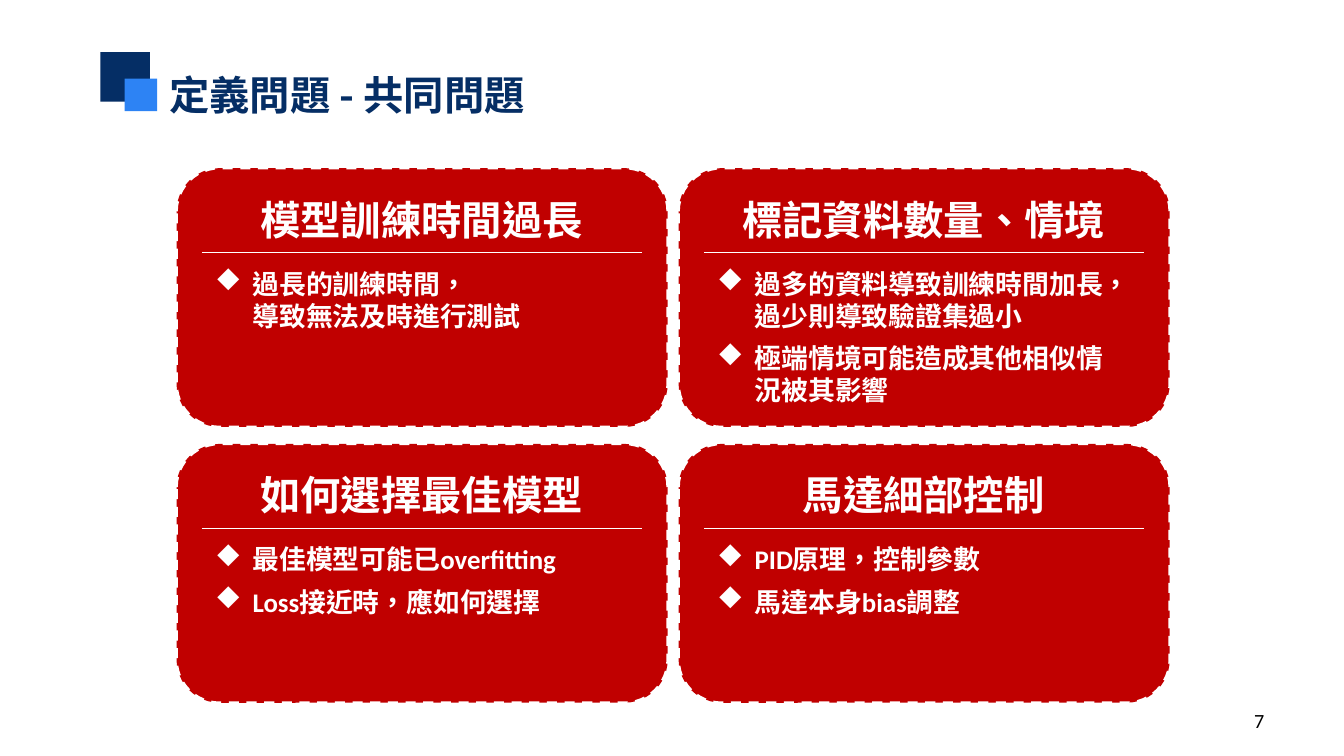
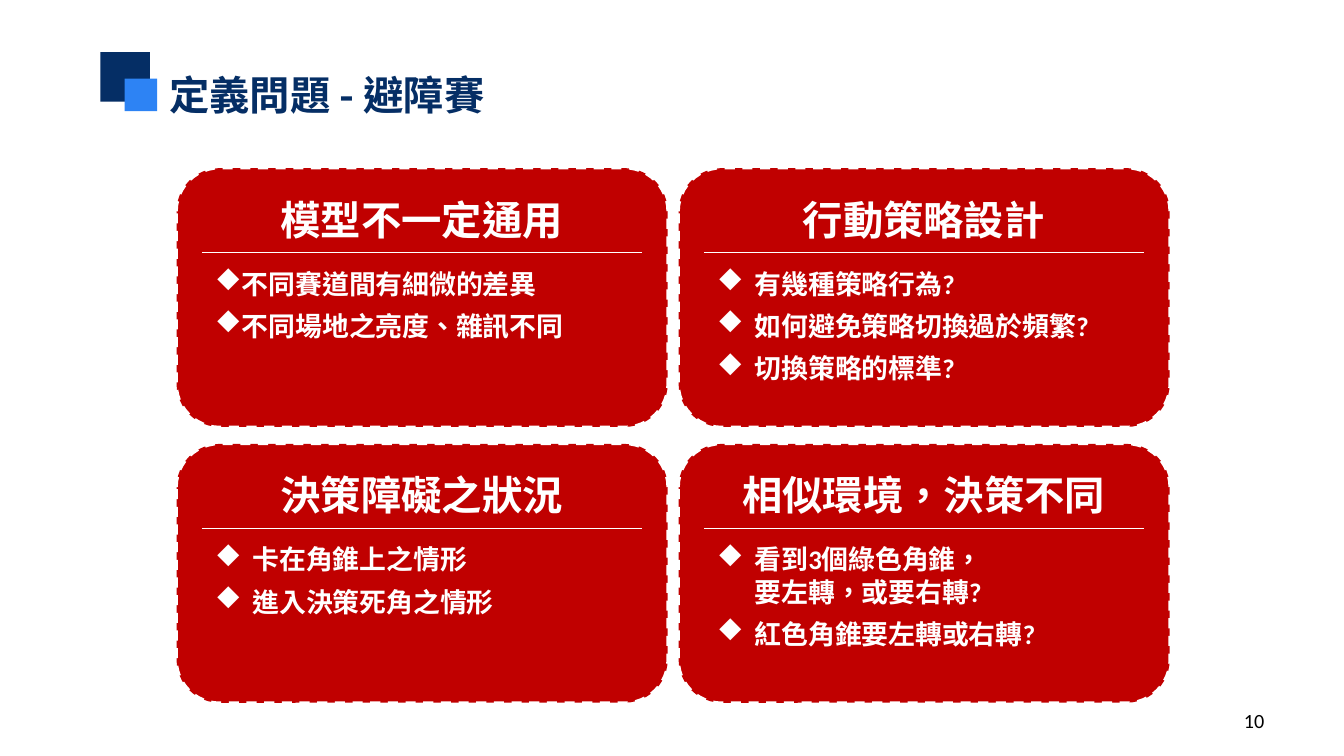
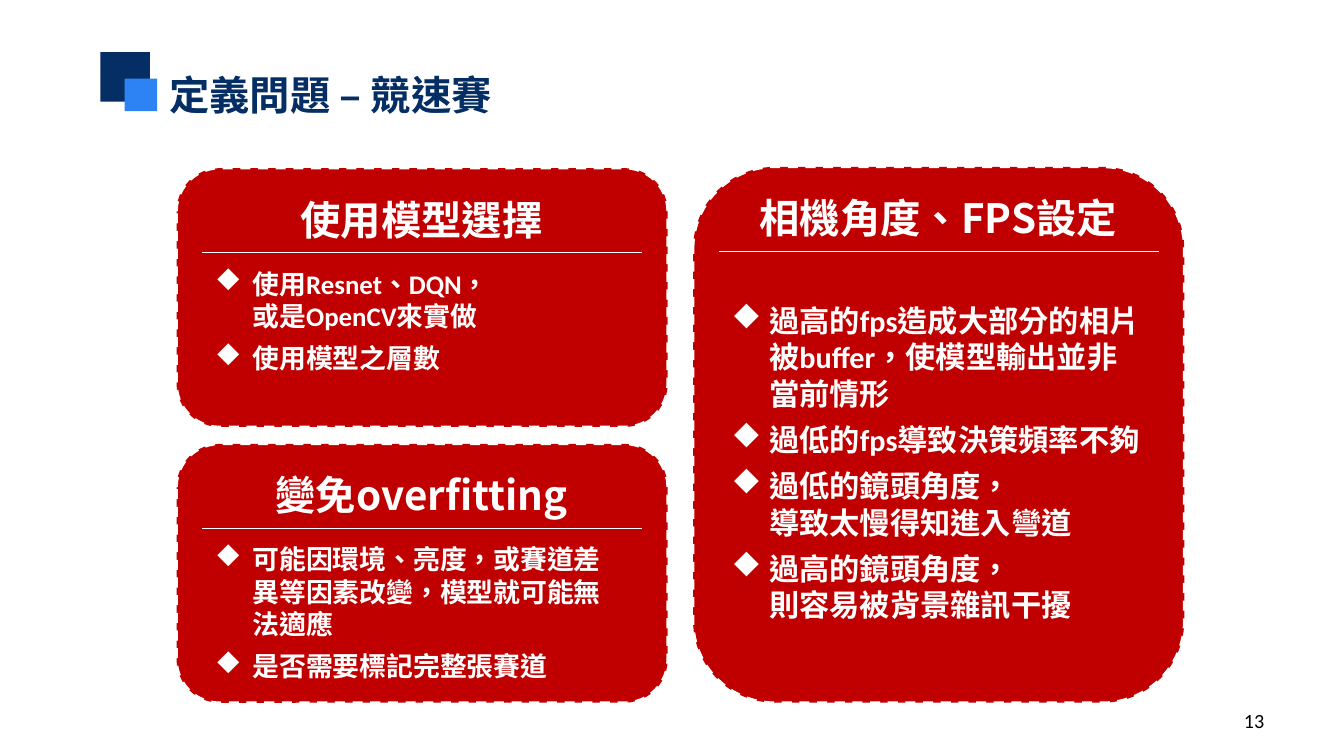
from dataclasses import dataclass

from lxml import etree
from pptx import Presentation
from pptx.dml.color import RGBColor
from pptx.enum.dml import MSO_LINE
from pptx.enum.lang import MSO_LANGUAGE_ID
from pptx.enum.shapes import MSO_CONNECTOR, MSO_SHAPE
from pptx.enum.text import MSO_ANCHOR, MSO_AUTO_SIZE, PP_ALIGN
from pptx.oxml.ns import qn
from pptx.util import Inches, Pt

RECT, ROUND_RECT = MSO_SHAPE.RECTANGLE, MSO_SHAPE.ROUNDED_RECTANGLE
STRAIGHT, DASH = MSO_CONNECTOR.STRAIGHT, MSO_LINE.DASH
LEFT, CENTER, RIGHT = PP_ALIGN.LEFT, PP_ALIGN.CENTER, PP_ALIGN.RIGHT
TOP, MIDDLE = MSO_ANCHOR.TOP, MSO_ANCHOR.MIDDLE
FIT_SHAPE, FIT_NONE = MSO_AUTO_SIZE.SHAPE_TO_FIT_TEXT, MSO_AUTO_SIZE.NONE
ZH_TW = MSO_LANGUAGE_ID.TRADITIONAL_CHINESE

NAVY, BLUE, RED, WHITE, BLACK = "052E65", "2D83F4", "C00000", "FFFFFF", "000000"
HEAD_FONT, BODY_FONT = "Noto Sans CJK SC", "Calibri"
GRID_X, GRID_Y, STEP_X, STEP_Y = 1.46, 1.39, 4.15, 2.28
CARD_W, CARD_H = 4.06, 2.14
HANG = 0.31


@dataclass
class Card:
    """A red card with a heading, a rule and bullets."""
    heading: str
    bullets: list[str]
    body_h: float = 0.72
    indent: float = HANG


@dataclass
class TallCard(Card):
    """A card that takes the full height of the right column."""
    body_h: float = 2.78


@dataclass
class Page:
    """A slide with its title, number and cards in reading order."""
    title: str
    number: int
    cards: list[Card]


PAGES = [
    Page("定義問題 - 共同問題", 7, [
        Card("模型訓練時間過長", ["過長的訓練時間，\n導致無法及時進行測試"], 0.64),
        Card("標記資料數量、情境", ["過多的資料導致訓練時間加長，過少則導致驗證集過小",
                           "極端情境可能造成其他相似情況被其影響"], 1.26),
        Card("如何選擇最佳模型", ["最佳模型可能已overfitting", "Loss接近時，應如何選擇"]),
        Card("馬達細部控制", ["PID原理，控制參數", "馬達本身bias調整"]),
    ]),
    Page("定義問題 - 避障賽", 10, [
        Card("模型不一定通用", ["不同賽道間有細微的差異", "不同場地之亮度、雜訊不同"], indent=0),
        Card("行動策略設計", ["有幾種策略行為?", "如何避免策略切換過於頻繁?", "切換策略的標準?"], 1.11),
        Card("決策障礙之狀況", ["卡在角錐上之情形", "進入決策死角之情形"]),
        Card("相似環境，決策不同", ["看到3個綠色角錐，\n要左轉，或要右轉?", "紅色角錐要左轉或右轉?"], 1.03),
    ]),
    Page("定義問題 – 競速賽", 13, [
        Card("使用模型選擇", ["使用Resnet、DQN，\n或是OpenCV來實做", "使用模型之層數"], 0.99),
        TallCard("相機角度、FPS設定", ["過高的fps造成大部分的相片被buffer，使模型輸出並非當前情形",
                               "過低的fps導致決策頻率不夠",
                               "過低的鏡頭角度，\n導致太慢得知進入彎道",
                               "過高的鏡頭角度，\n則容易被背景雜訊干擾"]),
        Card("變免overfitting", ["可能因環境、亮度，或賽道差異等因素改變，模型就可能無法適應",
                               "是否需要標記完整張賽道"], 1.26),
    ]),
]


def rgb(color: str) -> RGBColor:
    """Turn a hex string into a colour."""
    return RGBColor.from_string(color)


def add_box(shapes, kind, x: float, y: float, w: float, h: float, fill: str):
    """Add a filled shape without line or shadow."""
    sp = shapes.add_shape(kind, Inches(x), Inches(y), Inches(w), Inches(h))
    sp.shadow.inherit = False
    sp.fill.solid()
    sp.fill.fore_color.rgb = rgb(fill)
    sp.line.fill.background()
    return sp


def add_rule(shapes, x: float, y: float, w: float) -> None:
    """Add a thin white horizontal line."""
    line = shapes.add_connector(STRAIGHT, Inches(x), Inches(y), Inches(x + w), Inches(y))
    line.line.color.rgb = rgb(WHITE)
    line.line.width = Pt(0.75)
    etree.SubElement(line._element.spPr, qn("a:effectLst"))


def set_bullet(p, indent: float) -> None:
    """Give a paragraph a hanging diamond bullet."""
    p.space_before = Pt(6)
    pPr = p._p.get_or_add_pPr()
    pPr.set("marL", str(Inches(indent)))
    pPr.set("indent", str(-Inches(HANG)))
    etree.SubElement(pPr, qn("a:buFont"), typeface="Wingdings")
    etree.SubElement(pPr, qn("a:buChar"), char="u")


def add_text(shapes, x: float, y: float, w: float, h: float, paragraphs: list[str], *,
             size: int, color: str = WHITE, font: str = HEAD_FONT, bold: bool = True,
             align=LEFT, anchor=TOP, fit=FIT_SHAPE, indent: float | None = None) -> None:
    """Add a wrapped text box, with bullets when an indent is given."""
    sp = shapes.add_textbox(Inches(x), Inches(y), Inches(w), Inches(h))
    tf = sp.text_frame
    tf.word_wrap, tf.auto_size, tf.vertical_anchor = True, fit, anchor
    for i, text in enumerate(paragraphs):
        p = tf.add_paragraph() if i else tf.paragraphs[0]
        p.alignment = align
        if indent is not None:
            set_bullet(p, indent)
        for j, part in enumerate(text.split("\n")):
            if j:
                p.add_line_break()
            r = p.add_run()
            r.text = part
            r.font.name, r.font.size, r.font.bold = font, Pt(size), bold
            r.font.color.rgb = rgb(color)
            r.font.language_id = ZH_TW
            r.font._element.find(qn("a:latin")).addnext(
                etree.Element(qn("a:ea"), typeface=HEAD_FONT))


def add_card(s, card: Card, index: int) -> None:
    """Draw a card as a group in its cell of the grid."""
    row, col = divmod(index, 2)
    x, y, h = GRID_X + col * STEP_X, GRID_Y + row * STEP_Y, CARD_H
    body_y, body_size = 0.77, 16
    if isinstance(card, TallCard):
        x, y, h = 5.73, 1.38, 4.43
        body_y, body_size = 1.07, 18
    shapes = s.shapes.add_group_shape().shapes
    panel = add_box(shapes, ROUND_RECT, x, y, CARD_W, h, RED)
    panel.line.color.rgb = rgb(WHITE)
    panel.line.width = Pt(1.5)
    panel.line.dash_style = DASH
    add_rule(shapes, x + 0.21, y + 0.7, 3.64)
    add_text(shapes, x + 0.22, y + body_y, 3.59, card.body_h, card.bullets,
             size=body_size, font=BODY_FONT, indent=card.indent)
    add_text(shapes, x + 0.33, y + 0.17, 3.39, 0.5, [card.heading],
             size=24, align=CENTER, anchor=MIDDLE)


def add_page(prs, page: Page) -> None:
    """Add a slide with its title, marks, cards and number."""
    s = prs.slides.add_slide(prs.slide_layouts[6])
    add_text(s.shapes, 1.3, 0.53, 5.91, 0.5, [page.title], size=24, color=NAVY)
    add_box(s.shapes, RECT, 0.83, 0.43, 0.41, 0.41, NAVY)
    add_box(s.shapes, RECT, 1.03, 0.65, 0.27, 0.27, BLUE)
    for i, card in enumerate(page.cards):
        add_card(s, card, i)
    add_text(s.shapes, 7.96, 5.79, 2.59, 0.33, [str(page.number)], size=12, color=BLACK,
             font=BODY_FONT, bold=False, align=RIGHT, anchor=MIDDLE, fit=FIT_NONE)


def main() -> None:
    """Build and save the presentation."""
    prs = Presentation()
    prs.slide_width, prs.slide_height = Inches(11.11), Inches(6.25)
    for page in PAGES:
        add_page(prs, page)
    prs.save("out.pptx")


if __name__ == "__main__":
    main()
